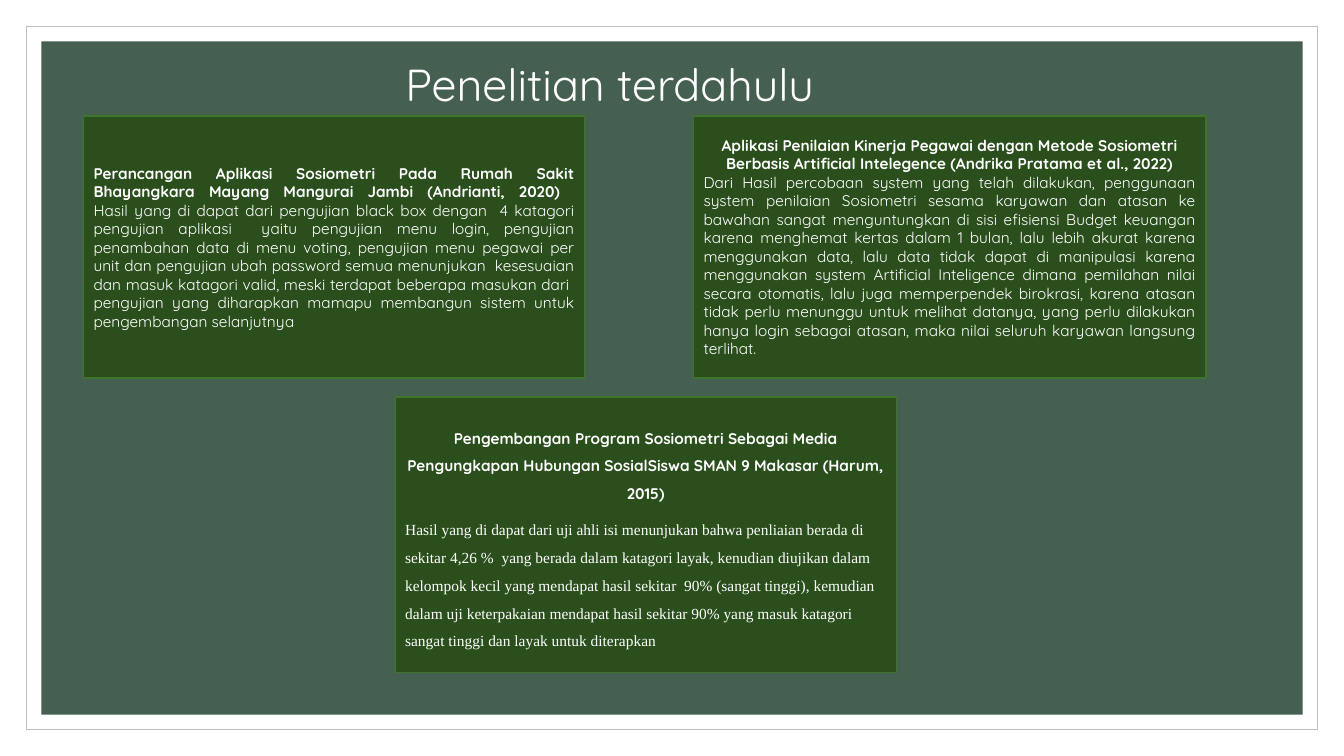
from copy import deepcopy

from pptx import Presentation
from pptx.dml.color import RGBColor
from pptx.enum.shapes import MSO_SHAPE
from pptx.enum.text import MSO_ANCHOR, MSO_AUTO_SIZE, PP_ALIGN
from pptx.util import Inches, Pt

RECTANGLE = MSO_SHAPE.RECTANGLE
MIDDLE = MSO_ANCHOR.MIDDLE
NO_AUTOFIT = MSO_AUTO_SIZE.NONE
LEFT, CENTER, JUSTIFY = PP_ALIGN.LEFT, PP_ALIGN.CENTER, PP_ALIGN.JUSTIFY

SLIDE_WIDTH, SLIDE_HEIGHT = 13.33, 7.5
TITLE_ONLY_LAYOUT = 5
WHITE, BORDER_GRAY, PANEL_GREEN = "FFFFFF", "BFBFBF", "455F51"
CARD_GREEN, CARD_BORDER = "2A4F1C", "3E752A"
SANS, SERIF = "Quicksand", "Times New Roman"

FRAME = {"fill": WHITE, "line": BORDER_GRAY, "line_width": 0.5}
PANEL = {"fill": PANEL_GREEN}
CARD = {"fill": CARD_GREEN, "line": CARD_BORDER, "line_width": 1}
TITLE_FONT = {"name": SANS, "size": Pt(32), "bold": False}
HEADING_FONT = {"name": SANS, "size": Pt(11), "bold": True}
BODY_FONT = {"name": SANS, "size": Pt(11), "bold": False}
SERIF_FONT = {"name": SERIF, "size": Pt(11), "bold": False}
OPEN_SPACING = {"line_spacing": 1.5, "space_before": Pt(6)}

STUDIES = [
    {
        "box": (0.83, 1.15, 4.97, 2.6),
        "paragraphs": [
            ({"alignment": JUSTIFY}, [
                ("Perancangan Aplikasi Sosiometri Pada Rumah Sakit Bhayangkara "
                 "Mayang Mangurai Jambi (Andrianti, 2020) ", HEADING_FONT),
                ("Hasil yang di dapat dari pengujian black box dengan  4 katagori "
                 "pengujian aplikasi  yaitu pengujian menu login, pengujian penambahan "
                 "data di menu voting, pengujian menu pegawai per unit dan pengujian "
                 "ubah password semua menunjukan  kesesuaian dan masuk katagori valid, "
                 "meski terdapat beberapa masukan dari  pengujian yang diharapkan "
                 "mamapu membangun sistem untuk pengembangan selanjutnya", BODY_FONT),
            ]),
        ],
    },
    {
        "box": (6.88, 1.15, 5.08, 2.6),
        "paragraphs": [
            ({"alignment": CENTER}, [
                ("Aplikasi Penilaian Kinerja Pegawai dengan Metode Sosiometri Berbasis "
                 "Artificial Intelegence (Andrika Pratama et al., 2022)", HEADING_FONT),
            ]),
            ({"alignment": JUSTIFY}, [
                ("Dari Hasil percobaan system yang telah dilakukan, penggunaan system "
                 "penilaian Sosiometri sesama karyawan dan atasan ke bawahan sangat "
                 "menguntungkan di sisi efisiensi Budget keuangan karena menghemat "
                 "kertas dalam 1 bulan, lalu lebih akurat karena menggunakan data, lalu "
                 "data tidak dapat di manipulasi karena menggunakan system Artificial "
                 "Inteligence dimana pemilahan nilai secara otomatis, lalu juga "
                 "memperpendek birokrasi, karena atasan tidak perlu menunggu untuk "
                 "melihat datanya, yang perlu dilakukan hanya login sebagai atasan, "
                 "maka nilai seluruh karyawan langsung terlihat.", BODY_FONT),
            ]),
        ],
    },
    {
        "box": (3.92, 3.94, 4.97, 2.73),
        "paragraphs": [
            ({"alignment": CENTER, **OPEN_SPACING}, [
                ("Pengembangan Program Sosiometri Sebagai Media Pengungkapan Hubungan "
                 "SosialSiswa SMAN 9 Makasar (Harum, 2015)", HEADING_FONT),
            ]),
            ({"alignment": LEFT, **OPEN_SPACING}, [
                ("Hasil yang di dapat dari uji ahli isi menunjukan bahwa penliaian "
                 "berada di sekitar 4,26 %  yang berada dalam katagori layak, kenudian "
                 "diujikan dalam kelompok kecil yang mendapat hasil sekitar  90% (sangat "
                 "tinggi), kemudian dalam uji keterpakaian mendapat hasil sekitar 90% "
                 "yang masuk katagori sangat tinggi dan layak untuk diterapkan",
                 SERIF_FONT),
            ]),
        ],
    },
]


def color(hex_value):
    return RGBColor.from_string(hex_value)


def apply_format(target, values):
    for name, value in values.items():
        setattr(target, name, value)


def add_rectangle(slide, box, style):
    shape = slide.shapes.add_shape(RECTANGLE, *map(Inches, box))
    shape.shadow.inherit = False
    shape.fill.solid()
    shape.fill.fore_color.rgb = color(style["fill"])
    if "line" in style:
        shape.line.color.rgb = color(style["line"])
        shape.line.width = Pt(style["line_width"])
    else:
        shape.line.fill.background()
    return shape


def add_run(paragraph, text, font):
    run = paragraph.add_run()
    run.text = text
    apply_format(run.font, font)
    run.font.color.rgb = color(WHITE)
    return run


def add_line_break(paragraph, previous_run):
    paragraph.add_line_break()
    paragraph._p[-1].append(deepcopy(previous_run._r.rPr))


def add_background(slide, box):
    left, top, width, height = box
    for inset, style in ((0.26, FRAME), (0.41, PANEL)):
        inner_box = (left + inset, top + inset, width - 2 * inset, height - 2 * inset)
        shape = add_rectangle(slide, inner_box, style)
        slide.shapes.title.element.addprevious(shape.element)


def fill_title(slide, box, text):
    title = slide.shapes.title
    for name, value in zip(("left", "top", "width", "height"), box):
        setattr(title, name, Inches(value))
    apply_format(title.text_frame, {
        "word_wrap": True, "vertical_anchor": MIDDLE, "auto_size": NO_AUTOFIT,
    })
    paragraph = title.text_frame.paragraphs[0]
    apply_format(paragraph, {"alignment": LEFT, "line_spacing": 0.9})
    add_run(paragraph, text, TITLE_FONT)


def add_study(slide, box, paragraphs):
    text_frame = add_rectangle(slide, box, CARD).text_frame
    apply_format(text_frame, {"word_wrap": True, "vertical_anchor": MIDDLE})
    for index, (paragraph_format, runs) in enumerate(paragraphs):
        paragraph = text_frame.add_paragraph() if index else text_frame.paragraphs[0]
        apply_format(paragraph, paragraph_format)
        previous_run = None
        for text, font in runs:
            if previous_run is not None:
                add_line_break(paragraph, previous_run)
            previous_run = add_run(paragraph, text, font)


def main():
    presentation = Presentation()
    presentation.slide_width = Inches(SLIDE_WIDTH)
    presentation.slide_height = Inches(SLIDE_HEIGHT)
    slide = presentation.slides.add_slide(presentation.slide_layouts[TITLE_ONLY_LAYOUT])
    add_background(slide, (0, 0, SLIDE_WIDTH, SLIDE_HEIGHT))
    fill_title(slide, (3.92, 0.11, 11, 1.5), "Penelitian terdahulu")
    for study in STUDIES:
        add_study(slide, study["box"], study["paragraphs"])
    presentation.save("out.pptx")


if __name__ == "__main__":
    main()
